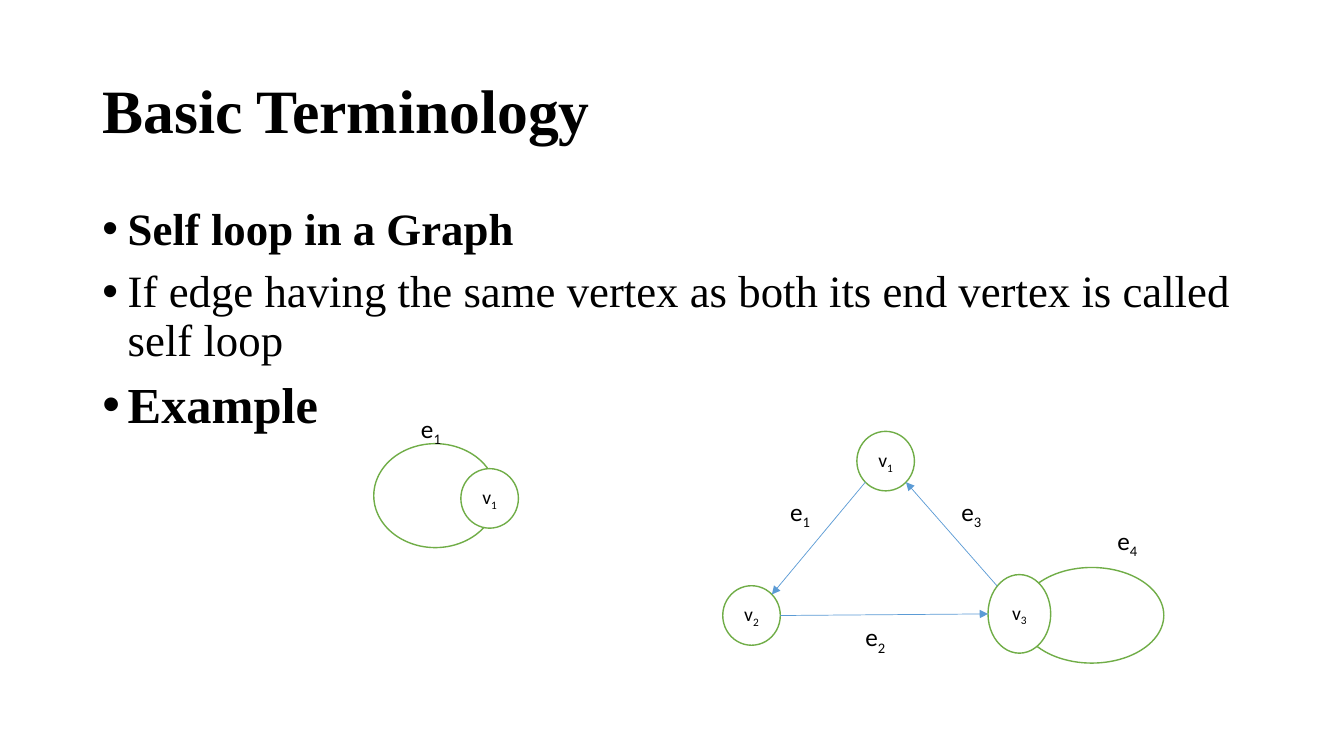
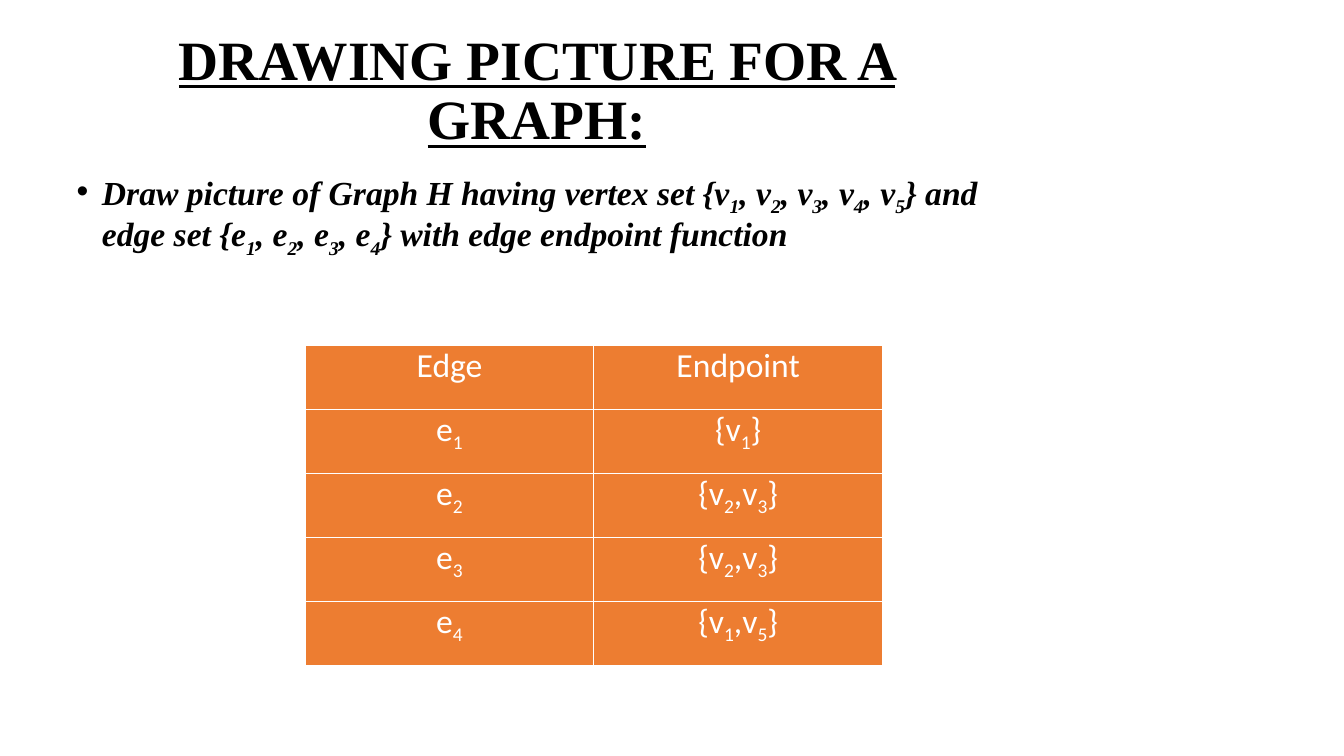
from math import hypot

from pptx import Presentation
from pptx.dml.color import RGBColor
from pptx.enum.shapes import MSO_CONNECTOR as Line, MSO_SHAPE as Shape
from pptx.enum.text import MSO_ANCHOR as Anchor, PP_ALIGN as Align
from pptx.oxml.ns import qn
from pptx.oxml.xmlchemy import OxmlElement
from pptx.util import Cm, Pt

COLORS = {"text": "000000", "paper": "FFFFFF", "vertex": "70AD47",
          "edge": "5B9BD5", "table": "ED7D31"}
SERIF = "Times New Roman"
SANS = "Calibri"
BULLET_INDENT = 0.64


def color(name):
    return RGBColor.from_string(COLORS[name])


def assign(target, values):
    for name, value in values.items():
        setattr(target, name, value)


def add_xml(parent, tag, **attributes):
    child = OxmlElement(tag)
    for name, value in attributes.items():
        child.set(name, str(value))
    parent.append(child)
    return child


class Vertex:
    """A labelled ellipse, given by its centre and size in cm."""

    def __init__(self, label, x, y, width=1.45, height=1.5):
        self.label, self.x, self.y = label, x, y
        self.width, self.height = width, height

    def box(self):
        return (self.x - self.width / 2, self.y - self.height / 2,
                self.width, self.height)

    def rim(self, dx, dy):
        """Point on the outline in the direction (dx, dy)."""
        length = hypot(dx, dy)
        return (self.x + self.width / 2 * dx / length,
                self.y + self.height / 2 * dy / length)


class Painter:
    def __init__(self, deck):
        self.deck = deck
        self.page = None

    def new_page(self):
        self.page = self.deck.slides.add_slide(self.deck.slide_layouts[6])

    def add_text(self, para, text, size, font=SANS, ink="text", **style):
        """Fill a paragraph; the character after each "_" becomes a subscript."""
        first, *rest = text.split("_")
        pieces = [(first, False)]
        for part in rest:
            pieces += [(part[0], True), (part[1:], False)]
        for piece, lowered in pieces:
            if not piece:
                continue
            span = para.add_run()
            span.text = piece
            assign(span.font, {"name": font, "size": Pt(size), **style})
            span.font.color.rgb = color(ink)
            if lowered:
                span.font._element.set("baseline", "-25000")

    def text_frame(self, box, anchor=Anchor.TOP):
        frame = self.page.shapes.add_textbox(*map(Cm, box)).text_frame
        assign(frame, {"word_wrap": True, "vertical_anchor": anchor})
        return frame

    def title(self, text, box, size, align=Align.LEFT, **style):
        para = self.text_frame(box, Anchor.MIDDLE).paragraphs[0]
        assign(para, {"alignment": align, "line_spacing": 0.9})
        self.add_text(para, text, size, SERIF, bold=True, **style)

    def bullets(self, items, box):
        frame = self.text_frame(box)
        for index, (text, size, style) in enumerate(items):
            para = frame.add_paragraph() if index else frame.paragraphs[0]
            assign(para, {"line_spacing": 0.9, "space_before": Pt(10)})
            layout = para._p.get_or_add_pPr()
            layout.set("marL", str(Cm(BULLET_INDENT)))
            layout.set("indent", str(-Cm(BULLET_INDENT)))
            add_xml(layout, "a:buFont", typeface="Arial")
            add_xml(layout, "a:buChar", char="•")
            self.add_text(para, text, size, SERIF, **style)

    def oval(self, box):
        shape = self.page.shapes.add_shape(Shape.FLOWCHART_CONNECTOR, *map(Cm, box))
        shape.shadow.inherit = False
        shape.fill.solid()
        shape.fill.fore_color.rgb = color("paper")
        shape.line.color.rgb = color("vertex")
        shape.line.width = Pt(1)
        return shape

    def vertex(self, vertex):
        frame = self.oval(vertex.box()).text_frame
        assign(frame, {"margin_left": 0, "margin_right": 0, "margin_top": 0,
                       "margin_bottom": 0, "word_wrap": False,
                       "vertical_anchor": Anchor.MIDDLE})
        para = frame.paragraphs[0]
        para.alignment = Align.CENTER
        self.add_text(para, vertex.label, 14)

    def label(self, text, x, y):
        frame = self.text_frame((x, y, 1.19, 1.02))
        self.add_text(frame.paragraphs[0], text, 18)

    def arrow(self, start, end):
        line = self.page.shapes.add_connector(Line.STRAIGHT, *map(Cm, start + end))
        line.line.color.rgb = color("edge")
        line.line.width = Pt(0.5)
        properties = line.element.spPr
        add_xml(properties.find(qn("a:ln")), "a:tailEnd", type="triangle")
        add_xml(properties, "a:effectLst")

    def table(self, rows, box):
        size = len(rows), len(rows[0])
        grid = self.page.shapes.add_table(*size, *map(Cm, box)).table
        for row_index, row in enumerate(rows):
            for column_index, text in enumerate(row):
                self.cell(grid.cell(row_index, column_index), text)

    def cell(self, cell, text):
        assign(cell, {"margin_left": 0, "margin_right": 0,
                      "margin_top": 0, "margin_bottom": 0})
        for side in "LRTB":
            border = add_xml(cell._tc.get_or_add_tcPr(), f"a:ln{side}", w=Pt(1))
            fill = add_xml(border, "a:solidFill")
            add_xml(fill, "a:srgbClr", val=COLORS["paper"])
        cell.fill.solid()
        cell.fill.fore_color.rgb = color("table")
        para = cell.text_frame.paragraphs[0]
        para.alignment = Align.CENTER
        self.add_text(para, text, 24, ink="paper", bold=False)


def self_loop_page(painter):
    painter.new_page()
    painter.title("Basic Terminology", (2.33, 1.02, 29.21, 3.68), 44)
    painter.bullets([
        ("Self loop in a Graph", 32, {"bold": True}),
        ("If edge having the same vertex as both its end vertex is called self loop",
         32, {}),
        ("Example", 36, {"bold": True}),
    ], (2.33, 5.08, 29.21, 13.18))

    painter.oval((9.42, 11.18, 3.1, 2.62))
    painter.vertex(Vertex("v_1", 12.34, 12.56))

    top = Vertex("v_1", 22.32, 11.62)
    left = Vertex("v_2", 18.94, 15.51)
    right = Vertex("v_3", 25.69, 15.47, 1.58, 1.98)
    painter.oval((25.7, 14.3, 3.63, 2.41))
    for vertex in (top, left, right):
        painter.vertex(vertex)
    painter.arrow(top.rim(-1, 1), left.rim(1, -1))
    painter.arrow(left.rim(1, 0), right.rim(-1, 0))
    painter.arrow(right.rim(-1, -1), top.rim(1, 1))

    for text, x, y in [("e_1", 10.36, 10.29), ("e_1", 19.66, 12.37),
                       ("e_2", 21.56, 15.54), ("e_3", 23.98, 12.37),
                       ("e_4", 27.91, 13.11)]:
        painter.label(text, x, y)


def drawing_page(painter):
    painter.new_page()
    painter.title("DRAWING PICTURE FOR A GRAPH:", (1.68, 0.91, 23.7, 2.82), 39.6,
                  Align.CENTER, underline=True)
    painter.bullets([
        ("Draw picture of Graph H having vertex set {v_1, v_2, v_3, v_4, v_5} "
         "and edge set {e_1, e_2, e_3, e_4} with edge endpoint function",
         24, {"bold": True, "italic": True}),
    ], (1.68, 4.22, 23.7, 10.03))
    painter.table([
        ("Edge", "Endpoint"),
        ("e_1", "{v_1}"),
        ("e_2", "{v_2,v_3}"),
        ("e_3", "{v_2,v_3}"),
        ("e_4", "{v_1,v_5}"),
    ], (7.69, 8.71, 14.55, 8.05))


def main():
    deck = Presentation()
    assign(deck, {"slide_width": Cm(33.87), "slide_height": Cm(19.05)})
    painter = Painter(deck)
    self_loop_page(painter)
    drawing_page(painter)
    deck.save("out.pptx")


if __name__ == "__main__":
    main()
